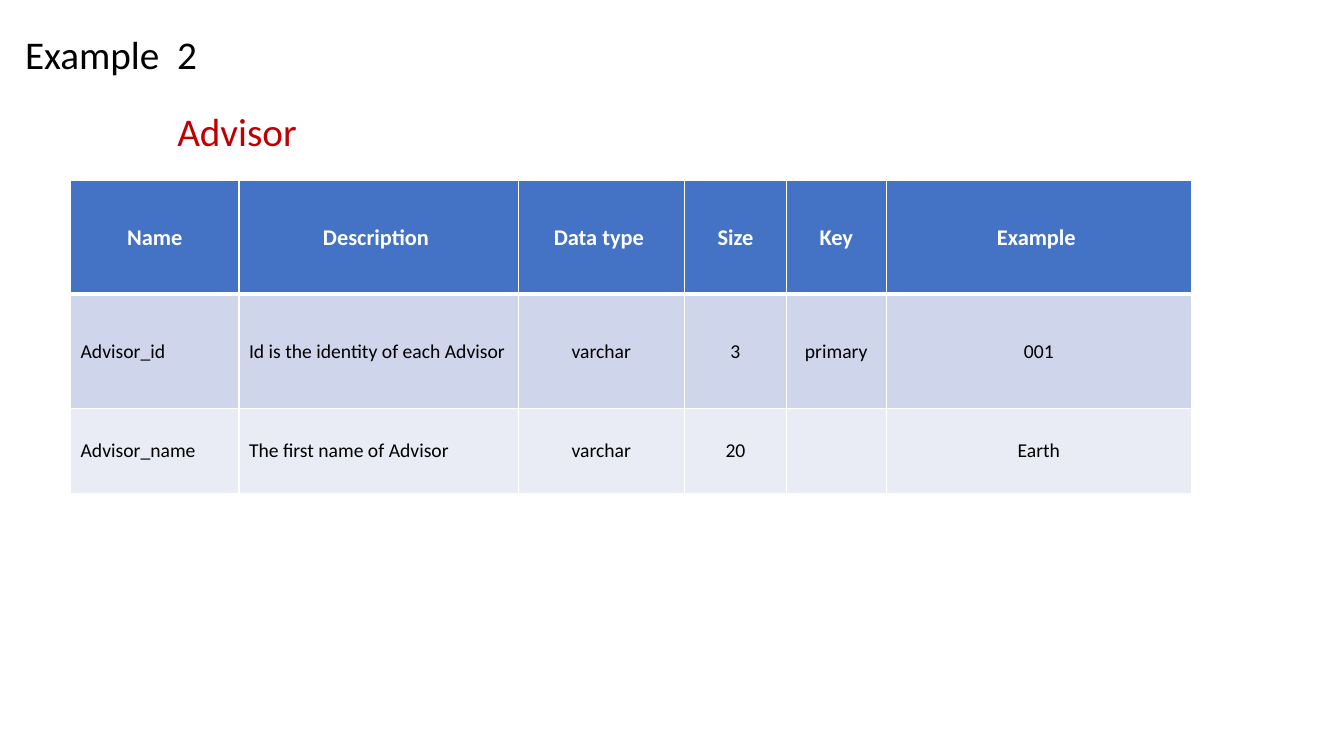
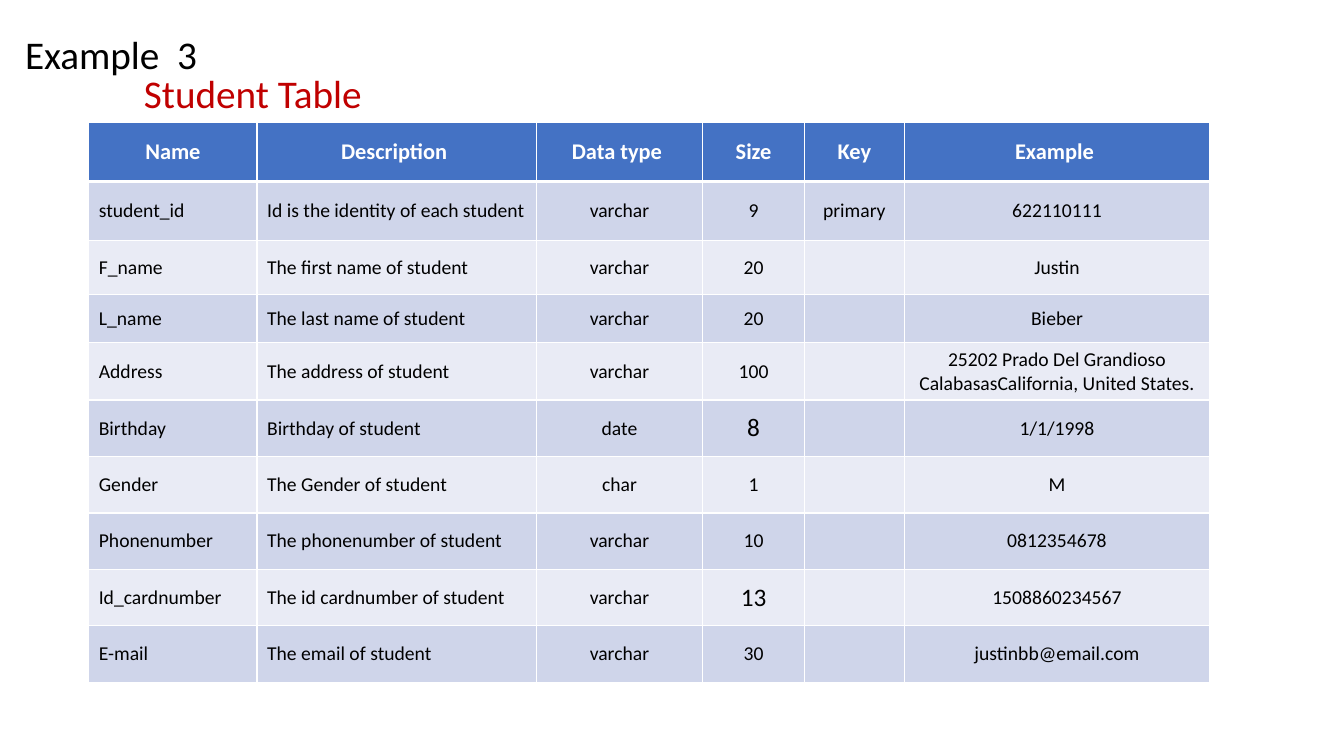
from lxml import etree
from pptx import Presentation
from pptx.dml.color import RGBColor
from pptx.enum.text import MSO_ANCHOR, MSO_AUTO_SIZE, PP_ALIGN
from pptx.oxml.ns import qn
from pptx.util import Inches, Pt

# Shared look
COLORS = {
    "text": "000000",
    "subtitle": "C00000",
    "header": "4472C4",
    "header_text": "FFFFFF",
    "band_dark": "CFD5EA",
    "band_light": "E9EBF5",
    "border": "FFFFFF",
}
FONT = "Calibri"
HEADERS = ["Name", "Description ", "Data type ", "Size", "Key", "Example "]
COL_WIDTHS = [1.67, 2.77, 1.65, 1.01, 0.99, 3.03]
LEFT_ALIGNED_COLS = 2

# Table contents: name, description, data type, size, key, example
ADVISOR_ROWS = [
    ["Advisor_id", "Id is the identity of each Advisor", "varchar", "3", "primary", "001"],
    ["Advisor_name", "The first name of Advisor", "varchar", "20", "", "Earth"],
]
STUDENT_ROWS = [
    ["student_id", "Id is the identity of each student", "varchar", "9", "primary", "622110111"],
    ["F_name", "The first name of student", "varchar", "20", "", "Justin"],
    ["L_name", "The last name of student", "varchar", "20", "", "Bieber"],
    ["Address", "The address of student", "varchar", "100", "",
     "25202 Prado Del Grandioso CalabasasCalifornia, United States."],
    ["Birthday", "Birthday of student", "date", "8", "", "1/1/1998"],
    ["Gender", "The Gender of student", "char", "1", "", "M"],
    ["Phonenumber", "The phonenumber of student", "varchar", "10", "", "0812354678"],
    ["Id_cardnumber", "The id cardnumber of student", "varchar", "13", "", "1508860234567"],
    ["E-mail", "The email of student", "varchar", "30", "", "justinbb@email.com"],
]
LARGE_SIZES = {"8", "13"}


def add_run(p, text, size, color, bold=False):
    r = p.add_run()
    r.text = text
    r.font.name = FONT
    r.font.size = Pt(size)
    r.font.bold = bold
    r.font.color.rgb = RGBColor.from_string(COLORS[color])


def add_heading(s, text, left, top, width, color):
    tb = s.shapes.add_textbox(Inches(left), Inches(top), Inches(width), Inches(0.57))
    tf = tb.text_frame
    tf.word_wrap = True
    tf.auto_size = MSO_AUTO_SIZE.SHAPE_TO_FIT_TEXT
    add_run(tf.paragraphs[0], text, 28, color)


def set_borders(cell, top=1, bottom=1):
    tc_pr = cell._tc.get_or_add_tcPr()
    for tag, width in (("lnL", 1), ("lnR", 1), ("lnT", top), ("lnB", bottom)):
        ln = etree.SubElement(tc_pr, qn(f"a:{tag}"), w=str(Pt(width)))
        fill = etree.SubElement(ln, qn("a:solidFill"))
        etree.SubElement(fill, qn("a:srgbClr"), val=COLORS["border"])


def fill_cell(cell, text, row, col):
    is_header = row == 0
    # A thick rule separates the header from the body
    set_borders(cell, top=3 if row == 1 else 1, bottom=3 if is_header else 1)
    band = "header" if is_header else "band_dark" if row % 2 else "band_light"
    cell.fill.solid()
    cell.fill.fore_color.rgb = RGBColor.from_string(COLORS[band])
    cell.vertical_anchor = MSO_ANCHOR.MIDDLE
    p = cell.text_frame.paragraphs[0]
    centered = is_header or col >= LEFT_ALIGNED_COLS
    p.alignment = PP_ALIGN.CENTER if centered else PP_ALIGN.LEFT
    if is_header:
        add_run(p, text, 16, "header_text", bold=True)
    elif text:
        large = HEADERS[col] == "Size" and text in LARGE_SIZES
        add_run(p, text, 18 if large else 14, "text")


def add_dictionary_table(s, left, top, rows, heights):
    data = [HEADERS] + rows
    frame = s.shapes.add_table(len(data), len(HEADERS), Inches(left), Inches(top),
                               Inches(sum(COL_WIDTHS)), Inches(sum(heights)))
    table = frame.table
    for column, width in zip(table.columns, COL_WIDTHS):
        column.width = Inches(width)
    for i, (values, height) in enumerate(zip(data, heights)):
        table.rows[i].height = Inches(height)
        for j, text in enumerate(values):
            fill_cell(table.cell(i, j), text, i, j)


def add_example_slide(prs, number):
    s = prs.slides.add_slide(prs.slide_layouts[6])
    add_heading(s, f"Example  {number}", 0.15, 0.25, 3.27, "text")
    return s


def main():
    prs = Presentation()
    prs.slide_width, prs.slide_height = Inches(13.33), Inches(7.5)

    # Advisor table
    s = add_example_slide(prs, 2)
    add_heading(s, "Advisor", 1.66, 1.02, 2.31, "subtitle")
    add_dictionary_table(s, 0.7, 1.79, ADVISOR_ROWS, [1.13, 1.13, 0.85])

    # Student table
    s = add_example_slide(prs, 3)
    add_dictionary_table(s, 0.88, 1.21, STUDENT_ROWS,
                         [0.59, 0.59, 0.53, 0.48, 0.57] + [0.56] * 5)
    add_heading(s, "Student Table", 1.33, 0.64, 3.03, "subtitle")

    prs.save("out.pptx")


if __name__ == "__main__":
    main()
